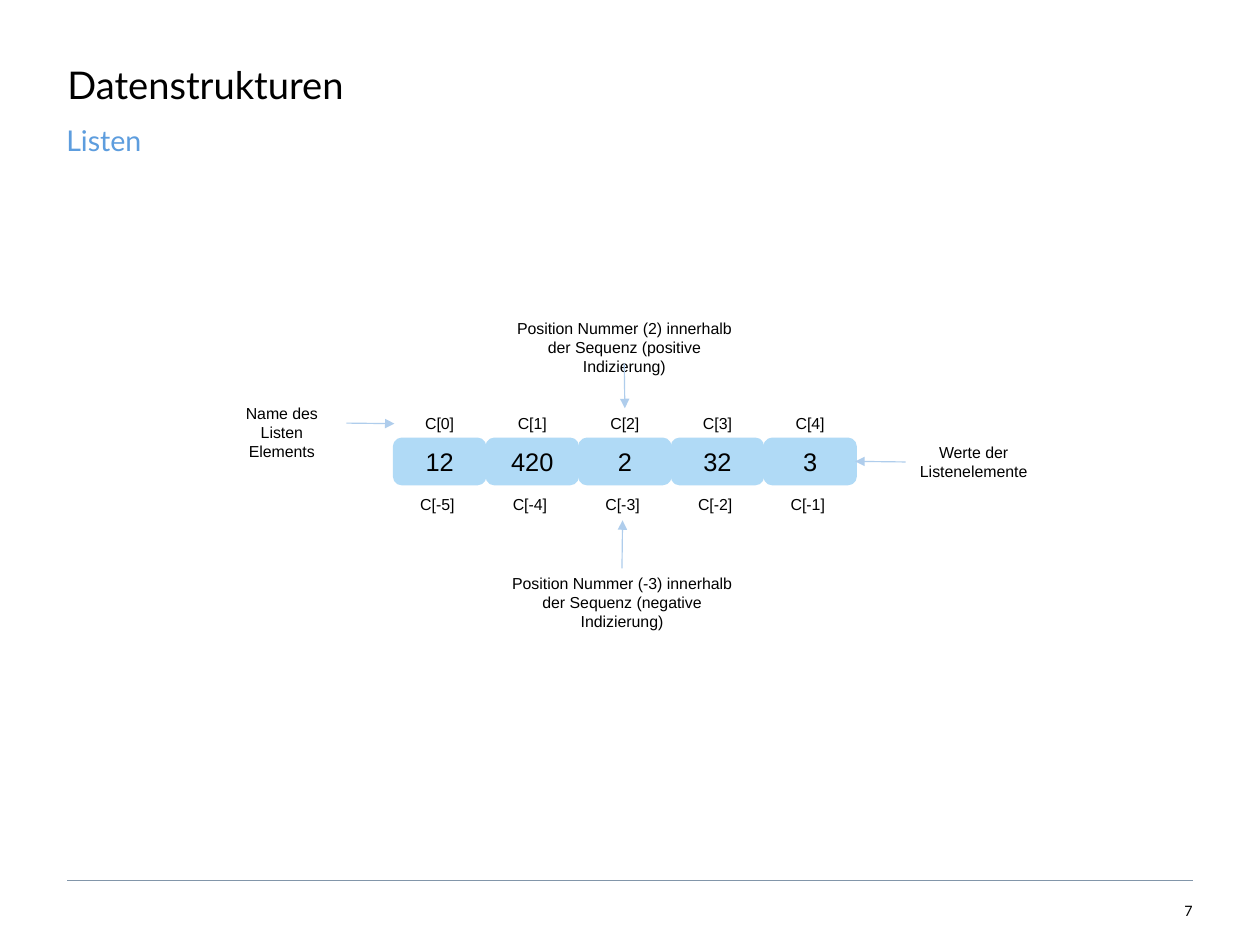
from lxml import etree
from pptx import Presentation
from pptx.dml.color import RGBColor
from pptx.enum import shapes, text
from pptx.oxml.ns import qn
from pptx.util import Inches, Pt

COLORS = {"text": "000000", "subtitle": "5D9DDE", "cell": "B0DAF6",
          "arrow": "AFCDEC", "rule": "8296AA"}
LEFT, CENTER, RIGHT = text.PP_ALIGN.LEFT, text.PP_ALIGN.CENTER, text.PP_ALIGN.RIGHT
TOP, MIDDLE, BOTTOM = text.MSO_ANCHOR.TOP, text.MSO_ANCHOR.MIDDLE, text.MSO_ANCHOR.BOTTOM

presentation = Presentation()
presentation.slide_width = Inches(11.02)
presentation.slide_height = Inches(8.29)
slide = presentation.slides.add_slide(presentation.slide_layouts[5])


def write(shape, wording, size=10, font="Arial", color="text", align=CENTER,
          anchor=TOP, margins=(0.1, 0.05, 0.1, 0.05), line_spacing=1.0):
    """Fill a shape with one formatted paragraph; margins are left, top, right, bottom."""
    frame = shape.text_frame
    frame.text = wording
    frame_format = {"word_wrap": True, "auto_size": text.MSO_AUTO_SIZE.NONE,
                    "vertical_anchor": anchor}
    for side, margin in zip(("left", "top", "right", "bottom"), margins):
        frame_format[f"margin_{side}"] = Inches(margin)
    for name, value in frame_format.items():
        setattr(frame, name, value)
    paragraph = frame.paragraphs[0]
    paragraph.alignment = align
    paragraph.line_spacing = line_spacing
    for name, value in {"name": font, "size": Pt(size), "bold": False}.items():
        setattr(paragraph.font, name, value)
    paragraph.font.color.rgb = RGBColor.from_string(COLORS[color])
    return shape


def add_line(start, end, color, width):
    line = slide.shapes.add_connector(
        shapes.MSO_CONNECTOR.STRAIGHT, *map(Inches, start), *map(Inches, end))
    line.line.color.rgb = RGBColor.from_string(COLORS[color])
    line.line.width = Pt(width)
    etree.SubElement(line._element.spPr, qn("a:effectLst"))
    return line


# Title, subtitle, rule and page number
add_line((0.59, 7.7), (10.43, 7.7), "rule", 0.5)

title = slide.shapes.title
title_place = {"left": 0.59, "top": 0.3, "width": 9.25, "height": 1.08}
for name, value in title_place.items():
    setattr(title, name, Inches(value))
write(title, "Datenstrukturen", 24, "Lato", align=LEFT,
      margins=(0, 0.28, 0.3, 0), line_spacing=0.9)

page_number = slide.shapes.add_textbox(*map(Inches, (9.84, 7.7, 0.59, 0.34)))
write(page_number, "7", 9, "Lato", align=RIGHT, anchor=BOTTOM, margins=(0, 0.04, 0, 0))

subtitle = slide.shapes.add_textbox(*map(Inches, (0.58, 1.11, 10.02, 0.33)))
write(subtitle, "Listen", 18, "Lato", "subtitle", LEFT,
      margins=(0, 0, 0.59, 0), line_spacing=0.9)

# List cells with positive indices above and negative indices below
values = [12, 420, 2, 32, 3]
cells, positive_labels, negative_labels = [], [], []
for index, value in enumerate(values):
    left = 3.45 + 0.81 * index
    cell = slide.shapes.add_shape(shapes.MSO_SHAPE.ROUNDED_RECTANGLE,
                                  *map(Inches, (left, 3.84, 0.79, 0.39)))
    cell.shadow.inherit = False
    cell.fill.solid()
    cell.fill.fore_color.rgb = RGBColor.from_string(COLORS["cell"])
    cell.line.color.rgb = RGBColor.from_string(COLORS["cell"])
    cell.line.width = Pt(2)
    cells.append(write(cell, str(value), 16, anchor=MIDDLE))

    for labels, number, label_left, top in (
            (positive_labels, index, left, 3.57),
            (negative_labels, index - len(values), left - 0.02, 4.28)):
        label = slide.shapes.add_textbox(*map(Inches, (label_left, top, 0.79, 0.27)))
        labels.append(write(label, f"C[{number}]"))

# Explanations, each with an arrow: wording, place, own side, target, target side
TOP_SIDE, LEFT_SIDE, BOTTOM_SIDE, RIGHT_SIDE = range(4)
explanations = [
    ("Name des Listen Elements", (1.9, 3.48, 1.13, 0.44),
     RIGHT_SIDE, positive_labels[0], LEFT_SIDE),
    ("Position Nummer (2) innerhalb der Sequenz (positive Indizierung)",
     (4.39, 2.74, 2.14, 0.44), BOTTOM_SIDE, positive_labels[2], TOP_SIDE),
    ("Werte der Listenelemente", (7.92, 3.82, 1.19, 0.44),
     LEFT_SIDE, cells[-1], RIGHT_SIDE),
    ("Position Nummer (-3) innerhalb der Sequenz (negative Indizierung)",
     (4.34, 4.97, 2.2, 0.44), TOP_SIDE, negative_labels[2], BOTTOM_SIDE),
]
for wording, place, own_side, target, target_side in explanations:
    explanation = write(slide.shapes.add_textbox(*map(Inches, place)), wording)
    arrow = add_line((0, 0), (1, 1), "arrow", 0.75)
    arrow.begin_connect(explanation, own_side)
    arrow.end_connect(target, target_side)
    etree.SubElement(arrow.line._get_or_add_ln(), qn("a:tailEnd"), type="triangle")

presentation.save("out.pptx")
